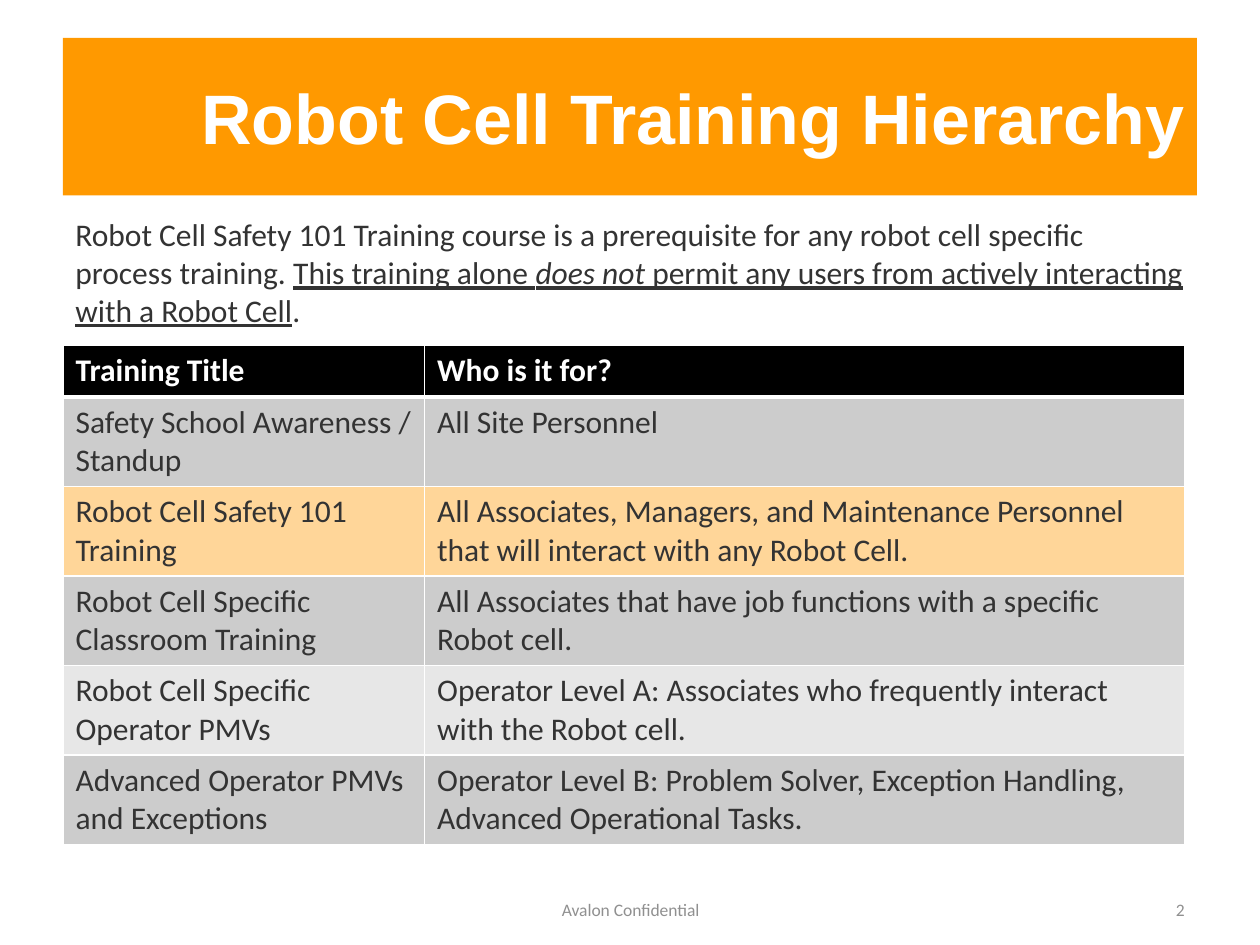
from lxml import etree
from pptx import Presentation
from pptx.dml.color import RGBColor
from pptx.enum.shapes import MSO_SHAPE
from pptx.enum.text import MSO_ANCHOR, PP_ALIGN
from pptx.oxml.ns import qn
from pptx.util import Inches, Pt

RECTANGLE = MSO_SHAPE.RECTANGLE
LEFT, CENTER, RIGHT = PP_ALIGN.LEFT, PP_ALIGN.CENTER, PP_ALIGN.RIGHT
TOP, MIDDLE, BOTTOM = MSO_ANCHOR.TOP, MSO_ANCHOR.MIDDLE, MSO_ANCHOR.BOTTOM

WHITE, BLACK, ORANGE, PEACH = "FFFFFF", "000000", "FF9900", "FFD699"
INK, MUTED, GRAY, PALE = "333333", "909090", "CCCCCC", "E7E7E7"


def rgb(value):
    return RGBColor.from_string(value)


class SlideBuilder:
    body_font = "Calibri"
    body_size = 18

    def __init__(self, slide):
        self.slide = slide

    def style(self, paragraph, color=INK, size=None, font=None, bold=False, align=LEFT):
        paragraph.alignment = align
        paragraph.font.name = font or self.body_font
        paragraph.font.size = Pt(size or self.body_size)
        paragraph.font.bold = bold
        paragraph.font.color.rgb = rgb(color)

    def banner(self, box, text, fill):
        banner = self.slide.shapes.add_shape(RECTANGLE, *map(Inches, box))
        banner.shadow.inherit = False
        banner.fill.solid()
        banner.fill.fore_color.rgb = rgb(fill)
        banner.line.fill.background()
        frame = banner.text_frame
        frame.word_wrap = True
        frame.vertical_anchor = MIDDLE
        frame.text = text
        self.style(frame.paragraphs[0], WHITE, 40, "Arial", True, RIGHT)

    def text(self, box, runs, anchor=TOP, **style):
        """Each run is (text, underlined, italic)."""
        frame = self.slide.shapes.add_textbox(*map(Inches, box)).text_frame
        frame.word_wrap = True
        frame.vertical_anchor = anchor
        paragraph = frame.paragraphs[0]
        self.style(paragraph, **style)
        for words, underlined, italic in runs:
            run = paragraph.add_run()
            run.text = words
            if underlined:
                run.font.underline = True
            if italic:
                run.font.italic = True

    def border(self, cell, side, width):
        line = etree.SubElement(cell._tc.get_or_add_tcPr(), qn(f"a:ln{side}"),
                                w=str(Pt(width)))
        fill = etree.SubElement(line, qn("a:solidFill"))
        etree.SubElement(fill, qn("a:srgbClr"), val=WHITE)

    def table(self, box, widths, heights, rows, fills):
        table = self.slide.shapes.add_table(
            len(rows), len(widths), *map(Inches, box)).table
        for column, width in zip(table.columns, widths):
            column.width = Inches(width)
        for r, (row, texts, fill) in enumerate(zip(table.rows, rows, fills)):
            row.height = Inches(heights[r])
            header = r == 0
            for cell, text in zip(row.cells, texts):
                # Borders go in before the fill; the header rule is heavier
                for side in "LRTB":
                    heavy = (r, side) in ((0, "B"), (1, "T"))
                    self.border(cell, side, 3 if heavy else 1)
                cell.fill.solid()
                cell.fill.fore_color.rgb = rgb(fill)
                cell.text = text
                self.style(cell.text_frame.paragraphs[0],
                           WHITE if header else INK, bold=header)


TRAININGS = [
    ("Training Title", "Who is it for?"),
    ("Safety School Awareness / Standup", "All Site Personnel"),
    ("Robot Cell Safety 101 Training",
     "All Associates, Managers, and Maintenance Personnel that will interact "
     "with any Robot Cell."),
    ("Robot Cell Specific Classroom Training",
     "All Associates that have job functions with a specific Robot cell."),
    ("Robot Cell Specific Operator PMVs",
     "Operator Level A: Associates who frequently interact with the Robot cell."),
    ("Advanced Operator PMVs and Exceptions",
     "Operator Level B: Problem Solver, Exception Handling, Advanced "
     "Operational Tasks."),
]
PREREQUISITE = [
    ("Robot Cell Safety 101 Training course is a prerequisite for any robot "
     "cell specific process training. ", False, False),
    ("This training alone ", True, False),
    ("does not ", True, True),
    ("permit any users from actively interacting with a Robot Cell", True, False),
    (".", False, False),
]


def main():
    deck = Presentation()
    deck.slide_width, deck.slide_height = Inches(10), Inches(7.5)
    builder = SlideBuilder(deck.slides.add_slide(deck.slide_layouts[6]))

    # Title
    builder.banner((0.5, 0.3, 9, 1.25), "Robot Cell Training Hierarchy", ORANGE)

    # Training levels, with this course highlighted
    builder.table((0.5, 2.74, 8.9, 3.91), (2.87, 6.03), [0.41] + [0.7] * 5,
                  TRAININGS, (BLACK, GRAY, PEACH, GRAY, PALE, GRAY))

    # Footer
    footer = {"anchor": BOTTOM, "color": MUTED, "size": 10}
    builder.text((3.42, 6.95, 3.17, 0.4), [("Avalon Confidential", False, False)],
                 align=CENTER, **footer)
    builder.text((7.17, 6.95, 2.33, 0.4), [("2", False, False)],
                 align=RIGHT, **footer)

    # Prerequisite statement
    builder.text((0.5, 1.66, 9, 1.01), PREREQUISITE)

    deck.save("out.pptx")


if __name__ == "__main__":
    main()
